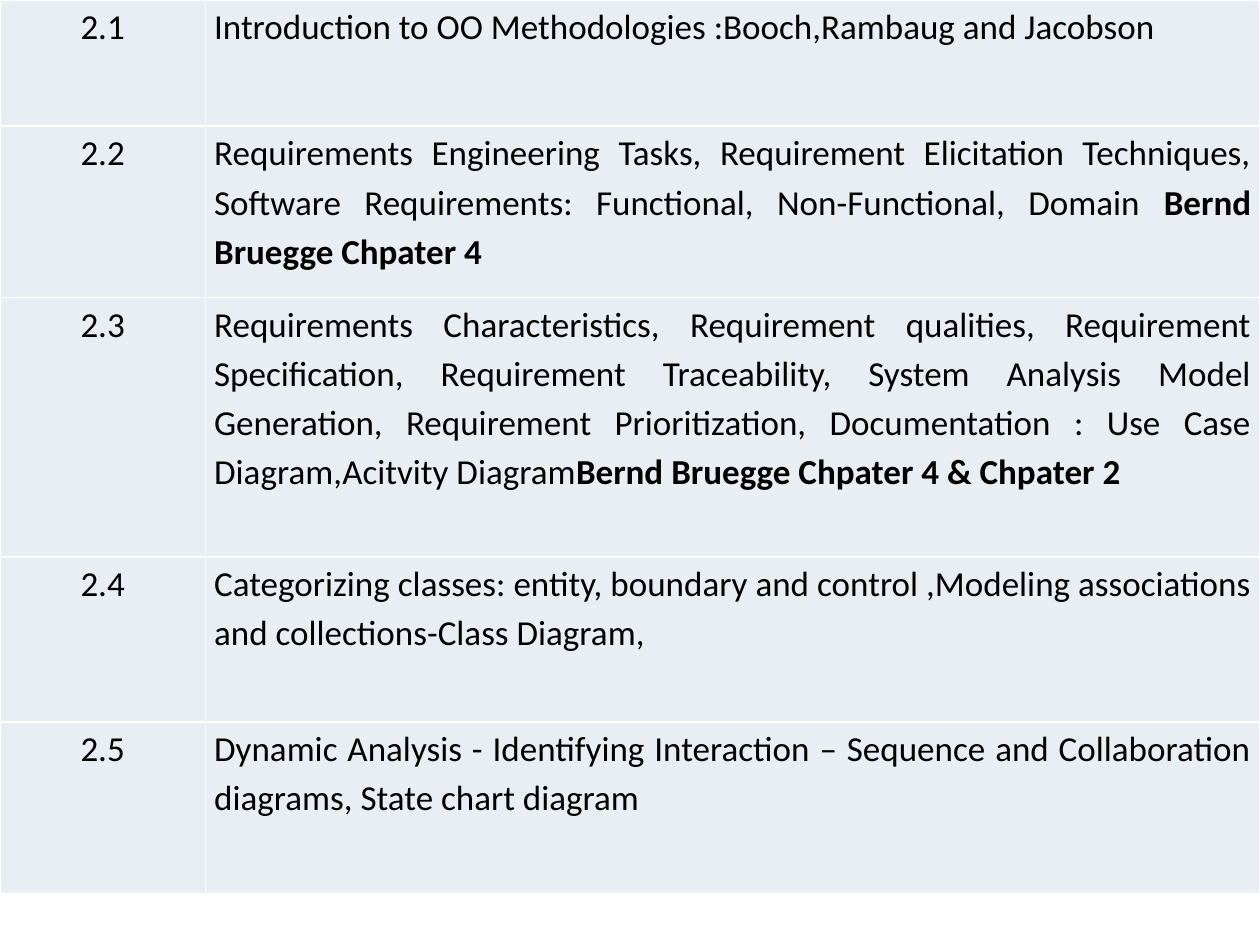
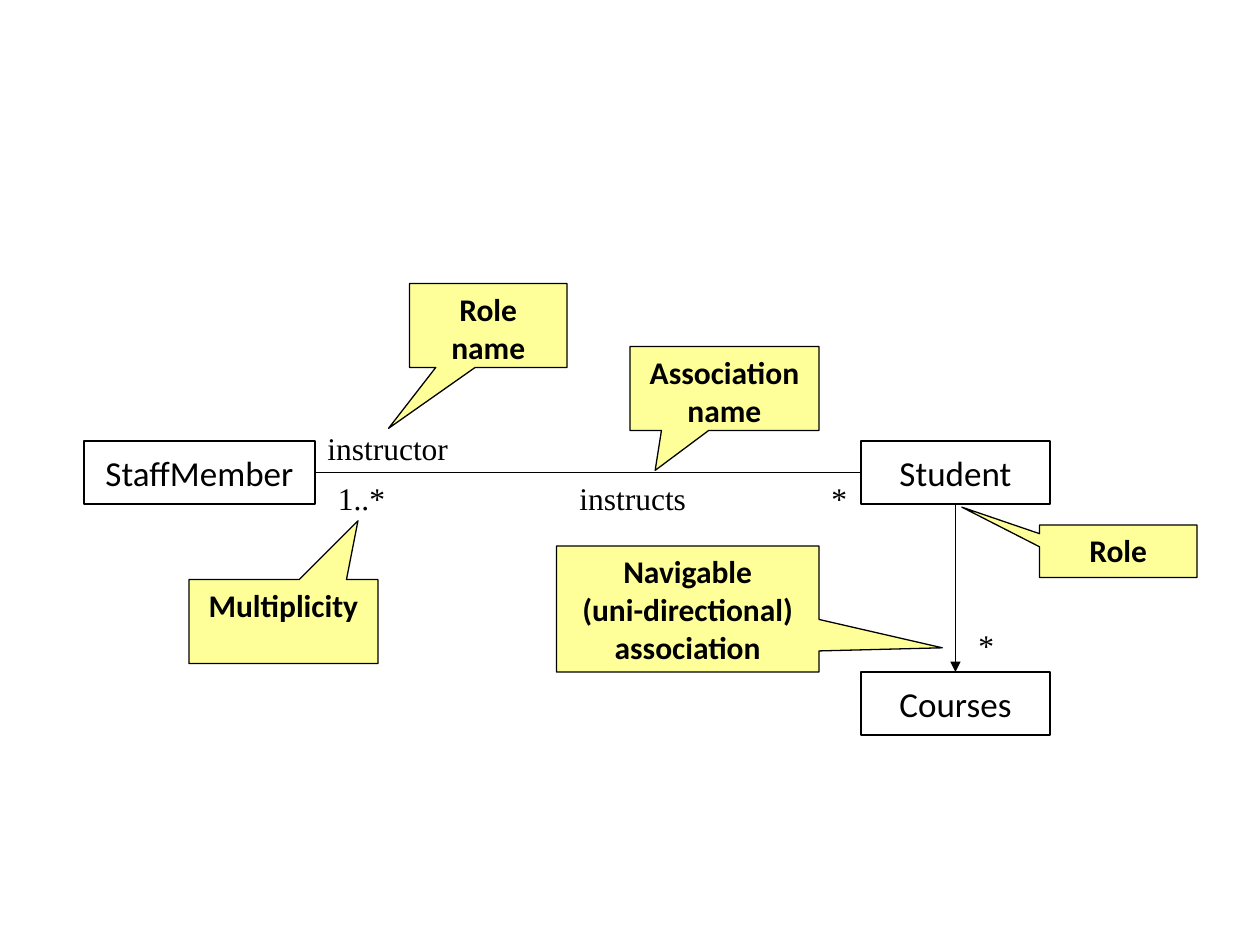
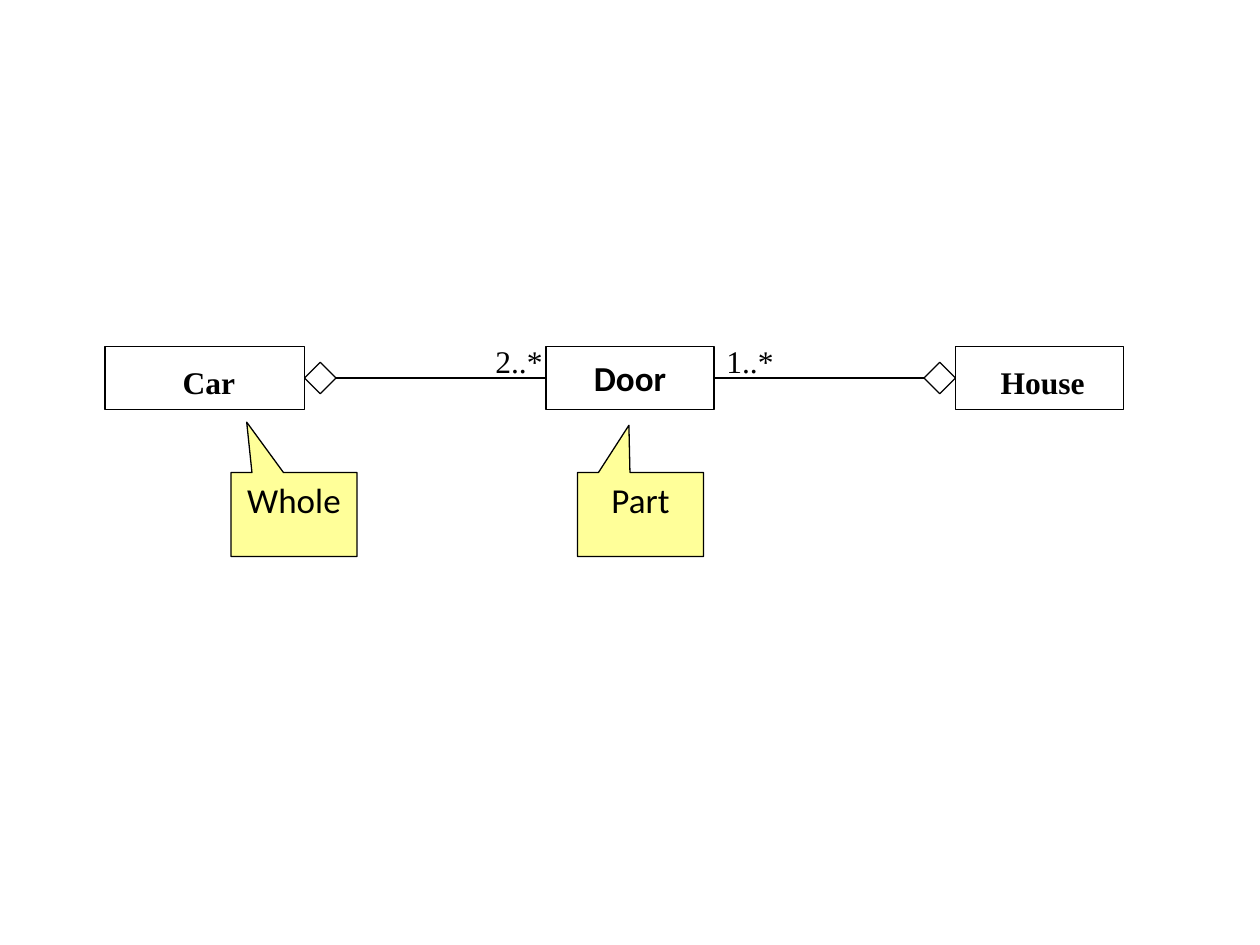
from lxml import etree
from pptx import Presentation
from pptx.dml.color import RGBColor
from pptx.enum.shapes import MSO_CONNECTOR, MSO_SHAPE
from pptx.enum.text import MSO_ANCHOR, MSO_AUTO_SIZE, PP_ALIGN
from pptx.oxml.ns import qn
from pptx.util import Emu, Inches, Pt

STRAIGHT = MSO_CONNECTOR.STRAIGHT
RECT, DIAMOND = MSO_SHAPE.RECTANGLE, MSO_SHAPE.DIAMOND
CALLOUT = MSO_SHAPE.RECTANGULAR_CALLOUT
TOP, MIDDLE = MSO_ANCHOR.TOP, MSO_ANCHOR.MIDDLE
LEFT, CENTER, JUSTIFY = PP_ALIGN.LEFT, PP_ALIGN.CENTER, PP_ALIGN.JUSTIFY
FIT_SHAPE = MSO_AUTO_SIZE.SHAPE_TO_FIT_TEXT
SIDE_LEFT, SIDE_BOTTOM, SIDE_RIGHT, SIDE_TOP = 1, 2, 3, 0

THEME = {
    "ink": "000000", "note": "FFFF99", "cell": "E9EDF4", "border": "FFFFFF",
    "line": Pt(0.75), "cell_border": Pt(1),
    "body": {"name": "Calibri", "size": Pt(20), "bold": False},
    "body_bold": {"name": "Calibri", "size": Pt(20), "bold": True},
    "note_bold": {"name": "Calibri", "size": Pt(18), "bold": True},
    "label": {"name": "Times New Roman", "size": Pt(18), "bold": False},
    "label_bold": {"name": "Times New Roman", "size": Pt(18), "bold": True},
}

# Diagram places are counted in twelfths of an inch.
UNIT = Inches(1) // 12
LABEL_H = 4.8
BOX_H = 6

# Syllabus: number, plain text, bold text, row height in inches
COLUMNS = (1.63, 8.37)
SYLLABUS = [
    ("2.1", "Introduction to OO Methodologies :Booch,Rambaug and Jacobson", "", 1),
    ("2.2", "Requirements Engineering Tasks, Requirement Elicitation Techniques, "
     "Software Requirements: Functional, Non-Functional, Domain ",
     "Bernd Bruegge Chpater 4", 1.36),
    ("2.3", "Requirements Characteristics, Requirement qualities, Requirement "
     "Specification, Requirement Traceability, System Analysis Model Generation, "
     "Requirement Prioritization, Documentation : Use Case Diagram,Acitvity Diagram",
     "Bernd Bruegge Chpater 4 & Chpater 2", 2.06),
    ("2.4", "Categorizing classes: entity, boundary and control ,Modeling "
     "associations and collections-Class Diagram,", "", 1.31),
    ("2.5", "Dynamic Analysis - Identifying Interaction – Sequence and "
     "Collaboration diagrams, State chart diagram", "", 1.36),
]

# boxes: key -> (text, left, top, width, style)
# diamonds: key -> (left, top, size)
# labels: (text, left, top, width, style, wraps)
# callouts: (text, (left, top, width, height), tip, style)
# links: (from, side, to, side, arrow)
ASSOCIATION = {
    "boxes": {
        "staff": ("StaffMember", 8, 42, 22, "body"),
        "student": ("Student", 82, 42, 18, "body"),
        "courses": ("Courses", 82, 64, 18, "body"),
    },
    "diamonds": {},
    "labels": [
        ("1..*", 31, 45, 7, "label", False),
        ("*", 78, 45, 4, "label", False),
        ("instructor", 30, 40.3, 14, "label", False),
        ("instructs", 54, 45, 12.6, "label", False),
        ("*", 92, 59, 4, "label", False),
    ],
    "callouts": [
        ("Association name", (60, 33, 18, 8), (62.4, 44.8), "note_bold"),
        ("Role name", (39, 27, 15, 8), (37, 40.8), "note_bold"),
        ("Multiplicity", (18, 55.2, 18, 8), (34.1, 49.6), "note_bold"),
        ("Navigable\v(uni-directional) association", (53, 52, 25, 12),
         (89.75, 61.7), "note_bold"),
        ("Role", (99, 50, 15, 5), (91.6, 48.3), "note_bold"),
    ],
    "links": [
        ("staff", SIDE_RIGHT, "student", SIDE_LEFT, False),
        ("student", SIDE_BOTTOM, "courses", SIDE_TOP, True),
    ],
}
AGGREGATION = {
    "boxes": {
        "car": ("", 10, 33, 19, "body"),
        "door": ("Door", 52, 33, 16, "body_bold"),
        "house": ("", 91, 33, 16, "body"),
    },
    "diamonds": {"car_end": (29, 34.5, 3), "house_end": (88, 34.5, 3)},
    "labels": [
        ("Car", 11.2, 34, 17.4, "label_bold", True),
        ("House", 92, 34, 14.6, "label_bold", True),
        ("1..*", 68, 32, 7, "label", False),
        ("2..*", 46, 32, 7, "label", False),
    ],
    "callouts": [
        ("Whole", (22, 45, 12, 8), (23.5, 40.2), "body"),
        ("Part", (55, 45, 12, 8), (59.9, 40.5), "body"),
    ],
    "links": [
        ("car_end", SIDE_RIGHT, "door", SIDE_LEFT, False),
        ("door", SIDE_RIGHT, "house_end", SIDE_LEFT, False),
    ],
}


def color(name):
    return RGBColor.from_string(THEME[name])


def units(*values):
    return [Emu(round(v * UNIT)) for v in values]


def add_run(p, text, style):
    """Add text to a paragraph; a vertical tab in it becomes a line break."""
    for i, line in enumerate(text.split("\v")):
        if i:
            p.add_line_break()
        r = p.add_run()
        r.text = line
        for name, value in THEME[style].items():
            setattr(r.font, name, value)
        r.font.color.rgb = color("ink")


def write(sp, text, style, align=CENTER, **frame):
    tf = sp.text_frame
    for name, value in frame.items():
        setattr(tf, name, value)
    p = tf.paragraphs[0]
    p.alignment = align
    add_run(p, text, style)


def add_outlined(slide, preset, place, fill=None):
    sp = slide.shapes.add_shape(preset, *units(*place))
    sp.shadow.inherit = False
    if fill:
        sp.fill.solid()
        sp.fill.fore_color.rgb = color(fill)
    else:
        sp.fill.background()
    sp.line.color.rgb = color("ink")
    sp.line.width = THEME["line"]
    return sp


def add_callout(slide, text, place, tip, style):
    sp = add_outlined(slide, CALLOUT, place, "note")
    for axis in (0, 1):
        start, size = place[axis], place[axis + 2]
        sp.adjustments[axis] = (tip[axis] - start) / size - 0.5
    write(sp, text, style, vertical_anchor=TOP, word_wrap=True)


def add_label(slide, text, left, top, width, style, wraps):
    sp = slide.shapes.add_textbox(*units(left, top, width, LABEL_H))
    write(sp, text, style, CENTER if wraps else LEFT,
          word_wrap=wraps, auto_size=FIT_SHAPE)


def add_link(slide, start, start_side, end, end_side, arrow):
    cn = slide.shapes.add_connector(STRAIGHT, 0, 0, 0, 0)
    cn.begin_connect(start, start_side)
    cn.end_connect(end, end_side)
    cn.line.color.rgb = color("ink")
    cn.line.width = THEME["line"]
    if arrow:
        etree.SubElement(cn.line._get_or_add_ln(), qn("a:tailEnd"), type="triangle")
    etree.SubElement(cn._element.spPr, qn("a:effectLst"))


def build_diagram(slide, content):
    nodes = {}
    for key, (text, left, top, width, style) in content["boxes"].items():
        nodes[key] = add_outlined(slide, RECT, (left, top, width, BOX_H))
        if text:
            write(nodes[key], text, style, vertical_anchor=MIDDLE, word_wrap=False)
    for key, (left, top, size) in content["diamonds"].items():
        nodes[key] = add_outlined(slide, DIAMOND, (left, top, size, size))
    for start, start_side, end, end_side, arrow in content["links"]:
        add_link(slide, nodes[start], start_side, nodes[end], end_side, arrow)
    for callout in content["callouts"]:
        add_callout(slide, *callout)
    for label in content["labels"]:
        add_label(slide, *label)


def add_borders(cell):
    tcPr = cell._tc.get_or_add_tcPr()
    for i, side in enumerate(("lnL", "lnR", "lnT", "lnB")):
        ln = etree.Element(qn(f"a:{side}"), w=str(THEME["cell_border"]))
        fill = etree.SubElement(ln, qn("a:solidFill"))
        etree.SubElement(fill, qn("a:srgbClr"), val=THEME["border"])
        tcPr.insert(i, ln)


def fill_cell(cell, align, runs):
    cell.margin_left = cell.margin_right = Inches(0.07)
    cell.margin_top = cell.margin_bottom = 0
    cell.fill.solid()
    cell.fill.fore_color.rgb = color("cell")
    add_borders(cell)
    p = cell.text_frame.paragraphs[0]
    p.alignment = align
    p.line_spacing = 1.15
    for text, style in runs:
        if text:
            add_run(p, text, style)


def build_syllabus(slide):
    height = sum(row[-1] for row in SYLLABUS)
    table = slide.shapes.add_table(len(SYLLABUS), len(COLUMNS), 0, 0,
                                   Inches(sum(COLUMNS)), Inches(height)).table
    table.first_row = table.horz_banding = False
    for col, width in zip(table.columns, COLUMNS):
        col.width = Inches(width)
    for row, (number, plain, bold, row_height) in zip(table.rows, SYLLABUS):
        row.height = Inches(row_height)
        fill_cell(row.cells[0], CENTER, [(number, "body")])
        fill_cell(row.cells[1], JUSTIFY, [(plain, "body"), (bold, "body_bold")])


def main():
    prs = Presentation()
    prs.slide_width, prs.slide_height = Inches(10), Inches(7.5)
    blank = prs.slide_layouts[6]
    build_syllabus(prs.slides.add_slide(blank))
    for content in (ASSOCIATION, AGGREGATION):
        build_diagram(prs.slides.add_slide(blank), content)
    prs.save("out.pptx")


if __name__ == "__main__":
    main()
